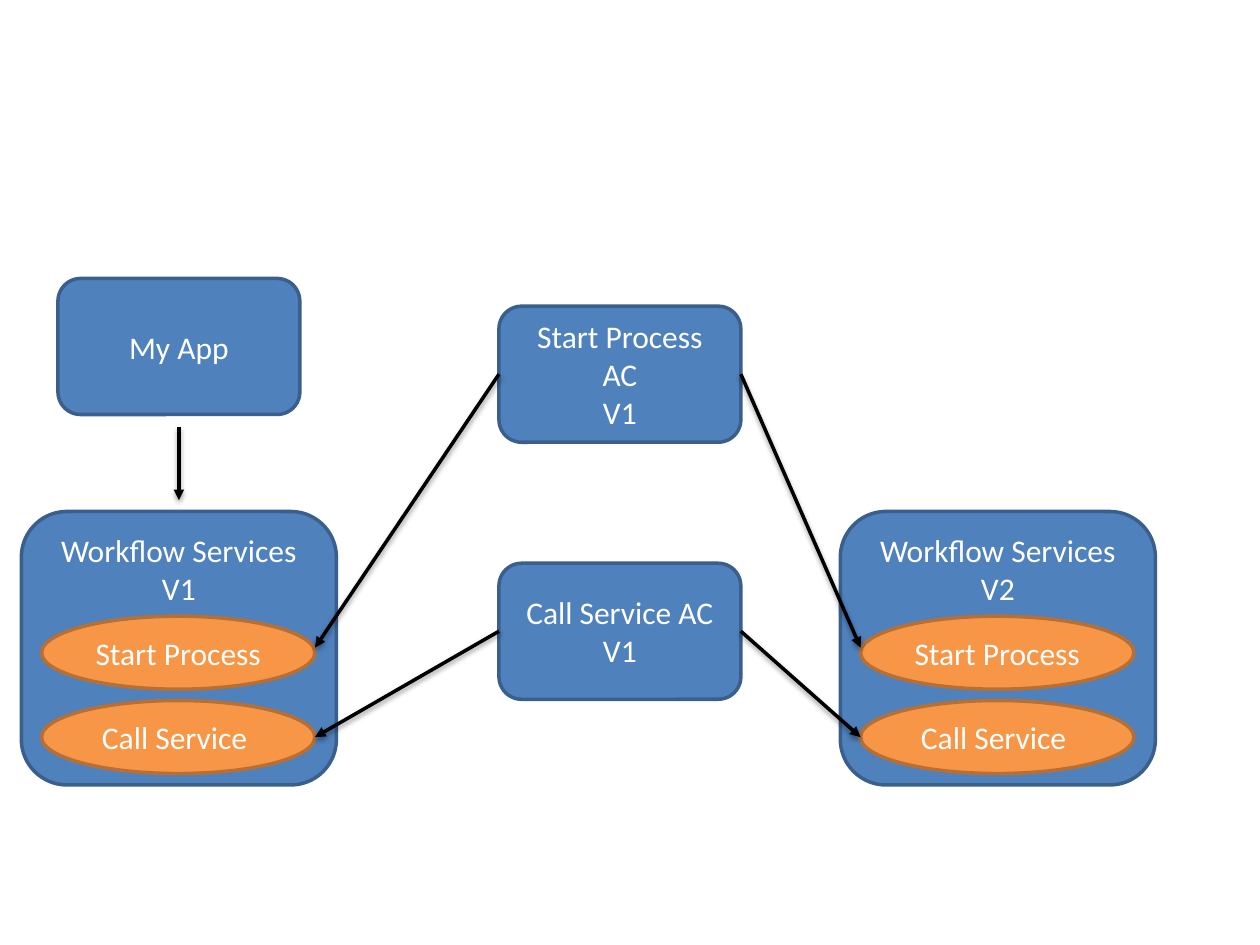
from lxml import etree
from pptx import Presentation
from pptx.dml.color import RGBColor
from pptx.enum.shapes import MSO_CONNECTOR as Connector, MSO_SHAPE as Shape
from pptx.enum.text import MSO_ANCHOR as Anchor, PP_ALIGN as Align
from pptx.oxml import parse_xml
from pptx.oxml.ns import nsdecls, qn
from pptx.util import Inches, Pt

BLUE, BLUE_EDGE = "4F81BD", "3A5F8C"
ORANGE, ORANGE_EDGE = "F79646", "B76F34"
WHITE, BLACK = "FFFFFF", "000000"
BOX_WIDTH, BOX_HEIGHT = 1.92, 1.08
SERVICES_TOP, SERVICES_WIDTH, SERVICES_HEIGHT = 4.06, 2.5, 2.17
STEP_INSET, STEP_WIDTH, STEP_HEIGHT = 0.16, 2.17, 0.58
STEP_TOP, STEP_PITCH = 0.83, 0.67


def color(hex_value):
    return RGBColor.from_string(hex_value)


def write_text(shape, text, size=18, font="Calibri", fill=WHITE,
               align=Align.CENTER, anchor=Anchor.MIDDLE):
    frame = shape.text_frame
    frame.word_wrap = True
    frame.vertical_anchor = anchor
    frame.text = text
    for paragraph in frame.paragraphs:
        paragraph.alignment = align
        paragraph.font.size = Pt(size)
        paragraph.font.name = font
        paragraph.font.color.rgb = color(fill)


def add_box(slide, left, top, text, width=BOX_WIDTH, height=BOX_HEIGHT,
            kind=Shape.ROUNDED_RECTANGLE, fill=BLUE, edge=BLUE_EDGE, **text_format):
    shape = slide.shapes.add_shape(
        kind, Inches(left), Inches(top), Inches(width), Inches(height))
    shape.shadow.inherit = False
    shape.fill.solid()
    shape.fill.fore_color.rgb = color(fill)
    shape.line.color.rgb = color(edge)
    shape.line.width = Pt(2)
    write_text(shape, text, **text_format)


def add_services(slide, left, top, version):
    add_box(slide, left, top, f"Workflow Services\n{version}",
            SERVICES_WIDTH, SERVICES_HEIGHT, anchor=Anchor.TOP)
    for row, step in enumerate(("Start Process", "Call Service ")):
        add_box(slide, left + STEP_INSET, top + STEP_TOP + row * STEP_PITCH, step,
                STEP_WIDTH, STEP_HEIGHT, Shape.OVAL, ORANGE, ORANGE_EDGE)


def add_arrow(slide, start, end):
    arrow = slide.shapes.add_connector(
        Connector.STRAIGHT, *(Inches(value) for value in (*start, *end)))
    arrow.line.color.rgb = color(BLACK)
    arrow.line.width = Pt(2)
    etree.SubElement(arrow.line._get_or_add_ln(), qn("a:tailEnd"), type="triangle")
    arrow._element.spPr.append(parse_xml(
        f'<a:effectLst {nsdecls("a")}>'
        f'<a:outerShdw blurRad="{Pt(3.1)}" dist="{Pt(1.6)}" dir="5400000" rotWithShape="0">'
        f'<a:srgbClr val="{BLACK}"><a:alpha val="38000"/></a:srgbClr>'
        '</a:outerShdw></a:effectLst>'))


def add_application(slide, left, top):
    add_box(slide, left, top, "My App")
    center = left + BOX_WIDTH / 2
    add_arrow(slide, (center, top + BOX_HEIGHT + 0.1), (center, SERVICES_TOP - 0.09))


def add_contract(slide, left, top, text, targets):
    add_box(slide, left, top, text)
    middle = top + BOX_HEIGHT / 2
    for start, end in zip((left, left + BOX_WIDTH), targets):
        add_arrow(slide, (start, middle), end)


def main():
    presentation = Presentation()
    presentation.slide_width, presentation.slide_height = Inches(10), Inches(7.5)
    slide = presentation.slides.add_slide(presentation.slide_layouts[6])
    first_left, second_left = 0.17, 6.67
    add_services(slide, second_left, SERVICES_TOP, "V2")
    add_services(slide, first_left, SERVICES_TOP, "V1")
    add_application(slide, 0.46, 2.21)
    target_edges = first_left + STEP_INSET + STEP_WIDTH, second_left + STEP_INSET
    for top, name, target_y in ((2.43, "Start Process AC", 5.14),
                                (4.47, "Call Service AC", 5.85)):
        targets = [(edge, target_y) for edge in target_edges]
        add_contract(slide, 3.96, top, f"{name}\nV1", targets)
    presentation.save("out.pptx")


if __name__ == "__main__":
    main()
